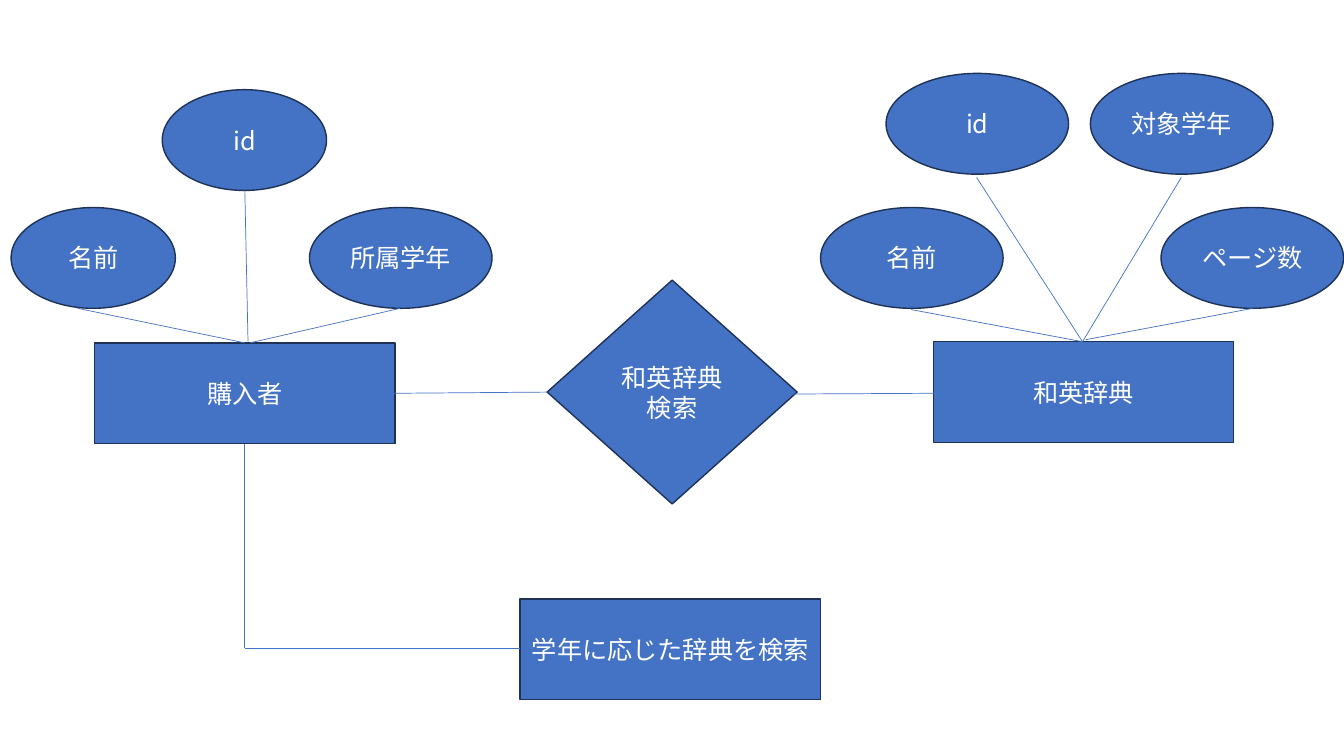
from lxml import etree
from pptx import Presentation
from pptx.dml.color import RGBColor
from pptx.enum.shapes import MSO_CONNECTOR, MSO_SHAPE
from pptx.enum.text import MSO_ANCHOR, PP_ALIGN
from pptx.oxml.ns import qn
from pptx.util import Cm, Pt

RECT, OVAL, DIAMOND = MSO_SHAPE.RECTANGLE, MSO_SHAPE.OVAL, MSO_SHAPE.DIAMOND
STRAIGHT = MSO_CONNECTOR.STRAIGHT
MIDDLE, CENTER = MSO_ANCHOR.MIDDLE, PP_ALIGN.CENTER

FONT = "Noto Sans CJK JP"
COLORS = {"fill": "4472C4", "outline": "1E3256", "text": "FFFFFF"}
NODE_H = 2.54
ENTITY_W = 7.57
BUYER_ATTR_W, ATTR_W = 4.14, 4.6
ATTR_Y = 5.23


def rgb(name):
    return RGBColor.from_string(COLORS[name])


prs = Presentation()
prs.slide_width, prs.slide_height = Cm(33.87), Cm(19.05)
slide = prs.slides.add_slide(prs.slide_layouts[6])

nodes = [
    (DIAMOND, 13.79, 7.06, 6.3, 5.64, "和英辞典検索"),
    (RECT, 2.39, 8.64, ENTITY_W, NODE_H, "購入者"),
    (RECT, 23.52, 8.61, ENTITY_W, NODE_H, "和英辞典"),
    (OVAL, 0.28, ATTR_Y, BUYER_ATTR_W, NODE_H, "名前"),
    (OVAL, 4.09, 2.26, BUYER_ATTR_W, NODE_H, "id"),
    (OVAL, 7.8, ATTR_Y, ATTR_W, NODE_H, "所属学年"),
    (OVAL, 22.33, 1.85, ATTR_W, NODE_H, "id"),
    (OVAL, 20.68, ATTR_Y, ATTR_W, NODE_H, "名前"),
    (OVAL, 27.48, 1.85, ATTR_W, NODE_H, "対象学年"),
    (OVAL, 29.26, ATTR_Y, ATTR_W, NODE_H, "ページ数"),
    (RECT, 13.11, 15.09, ENTITY_W, NODE_H, "学年に応じた辞典を検索"),
]
for kind, x, y, w, h, text in nodes:
    s = slide.shapes.add_shape(kind, Cm(x), Cm(y), Cm(w), Cm(h))
    s.shadow.inherit = False
    s.fill.solid()
    s.fill.fore_color.rgb = rgb("fill")
    s.line.color.rgb = rgb("outline")
    s.line.width = Pt(1)
    tf = s.text_frame
    tf.word_wrap = True
    tf.vertical_anchor = MIDDLE
    p = tf.paragraphs[0]
    p.alignment = CENTER
    r = p.add_run()
    r.text = text
    r.font.size = Pt(18)
    r.font.name = FONT
    r.font.color.rgb = rgb("text")
    etree.SubElement(r.font._element, qn("a:ea"), typeface=FONT)

links = [
    (9.93, 9.91, 13.79, 9.88),
    (19.69, 9.93, 23.55, 9.91),
    (6.17, 16.33, 13.11, 16.33),
    (6.17, 11.18, 6.17, 16.33),
    (1.96, 7.77, 6.17, 8.64),
    (6.25, 8.61, 6.17, 4.8),
    (6.3, 8.64, 10.08, 7.77),
    (22.96, 7.8, 27.28, 8.61),
    (24.61, 4.47, 27.28, 8.61),
    (27.28, 8.61, 29.77, 4.47),
    (27.36, 8.56, 31.57, 7.77),
]
for x1, y1, x2, y2 in links:
    link = slide.shapes.add_connector(STRAIGHT, Cm(x1), Cm(y1), Cm(x2), Cm(y2))
    link.line.color.rgb = rgb("fill")
    link.line.width = Pt(0.5)
    etree.SubElement(link._element.spPr, qn("a:effectLst"))

prs.save("out.pptx")
